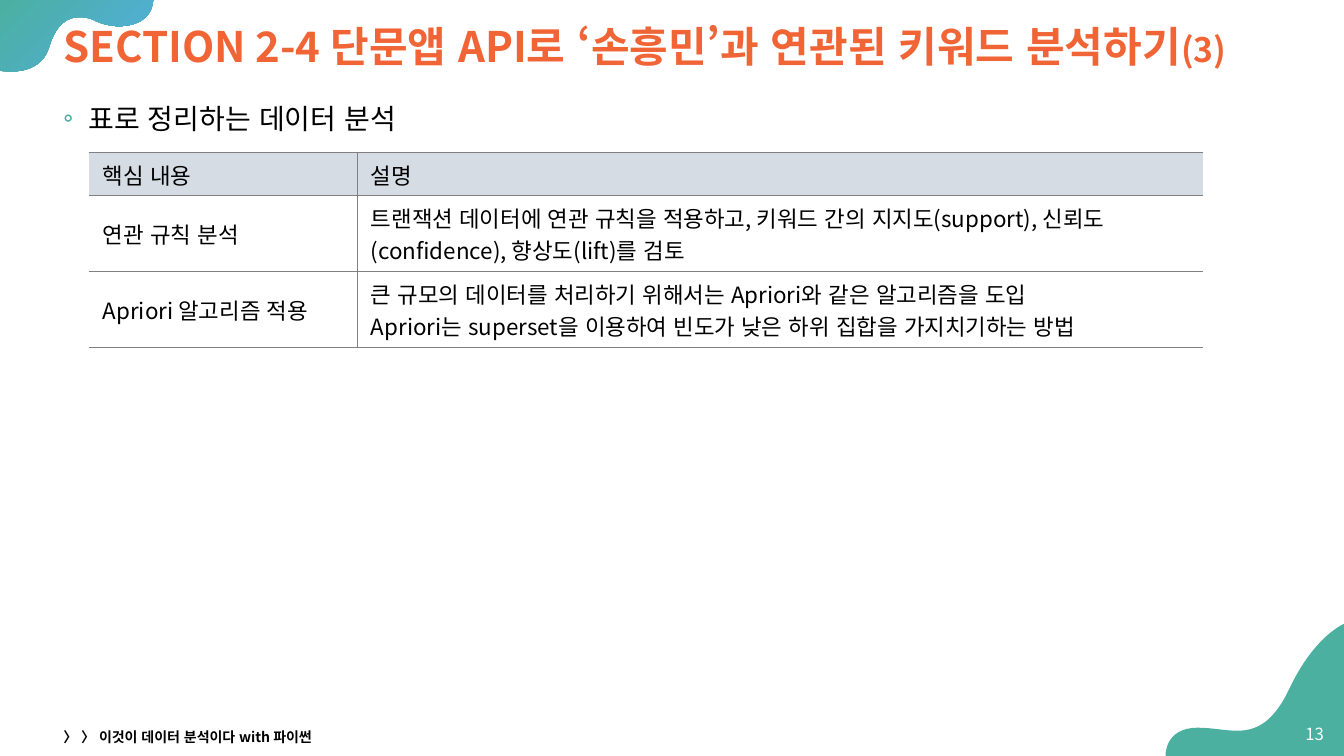
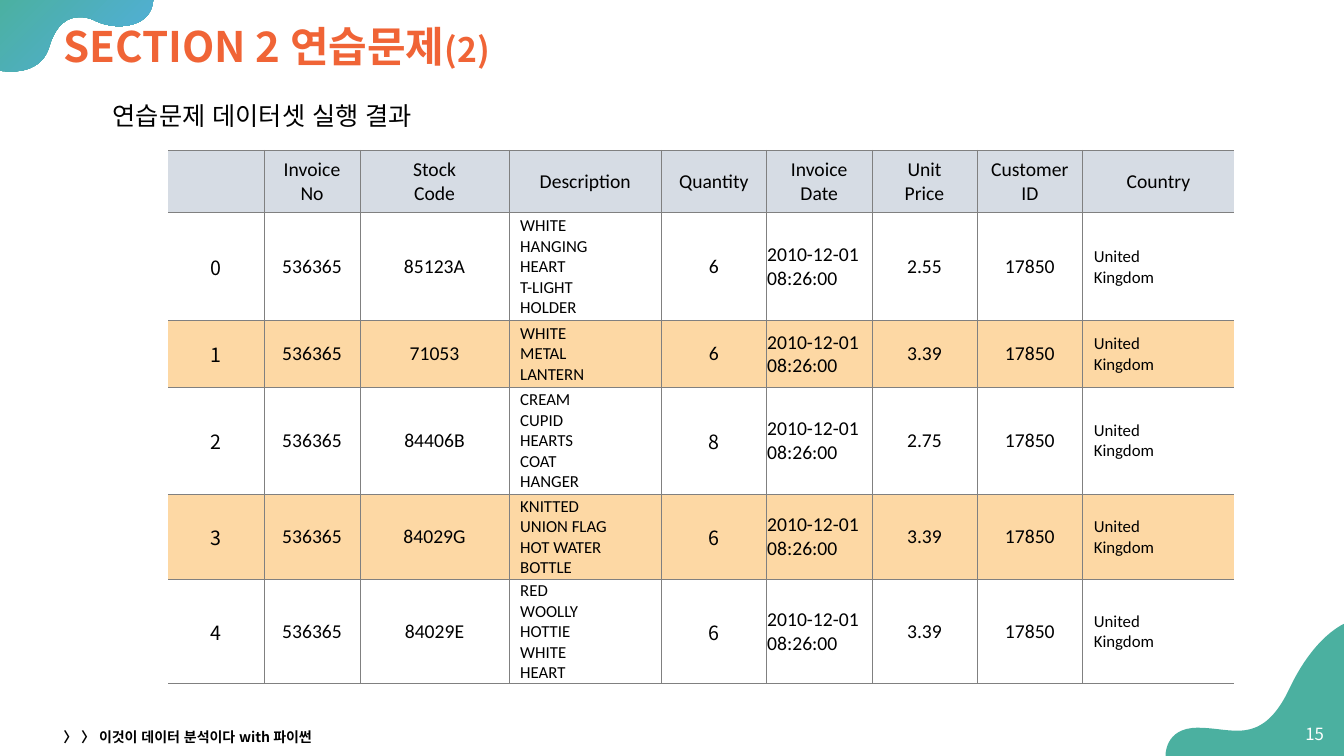
from lxml import etree
from pptx import Presentation
from pptx.dml.color import RGBColor
from pptx.enum.lang import MSO_LANGUAGE_ID
from pptx.enum.text import MSO_ANCHOR, PP_ALIGN
from pptx.oxml.ns import qn
from pptx.util import Inches, Pt

LEFT, CENTER, RIGHT = PP_ALIGN.LEFT, PP_ALIGN.CENTER, PP_ALIGN.RIGHT
TOP, MIDDLE = MSO_ANCHOR.TOP, MSO_ANCHOR.MIDDLE
LANGUAGE = MSO_LANGUAGE_ID.KOREAN
W, H = 13.33, 7.5
MARGIN = 0.53
KOREAN, LATIN = "Noto Sans CJK KR", "Calibri"
COLORS = {
    "text": "000000", "title": "F06436", "white": "FFFFFF", "teal": "4BB0A0",
    "blue": "52AEE1", "header": "D6DCE4", "stripe": "FDD8A4", "rule": "808080",
}

FOOTER = "〉 〉 이것이 데이터 분석이다 with 파이썬"
TOP_WAVE = [
    (1.52, -0.02), (-0.01, -0.02), (-0.01, 0.7),
    (-0.01, 0.7, 0.04, 0.71, 0.11, 0.71), (0.24, 0.71, 0.43, 0.67, 0.49, 0.46),
    (0.56, 0.23, 0.68, 0.17, 0.79, 0.17), (0.84, 0.17, 0.89, 0.18, 0.93, 0.2),
    (1.01, 0.24, 1.1, 0.26, 1.18, 0.26), (1.37, 0.26, 1.52, 0.17, 1.52, -0.02),
]
BOTTOM_WAVE = [
    (13.35, 6.18),
    (13.35, 6.18, 13.04, 6.29, 12.78, 6.85), (12.62, 7.18, 12.45, 7.25, 12.27, 7.25),
    (12.15, 7.25, 12.02, 7.22, 11.88, 7.22), (11.54, 7.22, 11.56, 7.51, 11.56, 7.51),
    (13.35, 7.51), (13.35, 6.18),
]

SUMMARY = [
    (["핵심 내용"], ["설명"]),
    (["연관 규칙 분석"],
     ["트랜잭션 데이터에 연관 규칙을 적용하고, 키워드 간의 지지도(support), "
      "신뢰도(confidence), 향상도(lift)를 검토"]),
    (["Apriori 알고리즘 적용"],
     ["큰 규모의 데이터를 처리하기 위해서는 Apriori와 같은 알고리즘을 도입\n"
      "Apriori는 superset을 이용하여 빈도가 낮은 하위 집합을 가지치기하는 방법"]),
]
SUMMARY_COLS, SUMMARY_ROWS = [2.66, 8.39], [0.43, 0.75, 0.76]

INVOICE_HEADER = [
    [], ["Invoice", "No"], ["Stock", "Code"], ["Description"], ["Quantity"],
    ["Invoice", "Date"], ["Unit", "Price"], ["Customer", "ID"], ["Country"],
]
ITEMS = [
    ("85123A", ["WHITE", "HANGING", "HEART", "T-LIGHT", "HOLDER"], "6", "2.55"),
    ("71053", ["WHITE", "METAL", "LANTERN"], "6", "3.39"),
    ("84406B", ["CREAM", "CUPID", "HEARTS", "COAT", "HANGER"], "8", "2.75"),
    ("84029G", ["KNITTED", "UNION FLAG", "HOT WATER", "BOTTLE"], "6", "3.39"),
    ("84029E", ["RED", "WOOLLY", "HOTTIE", "WHITE", "HEART"], "6", "3.39"),
]
INVOICE, CUSTOMER = ["536365"], ["17850"]
DATE, COUNTRY = ["2010-12-01", "08:26:00"], ["United", "Kingdom"]
INVOICE_COLS = [0.95, 0.95, 1.48, 1.51, 1.04, 1.05, 1.04, 1.05, 1.5]
INVOICE_ROWS = [0.62, 1.07, 0.66, 1.06, 0.85, 1.03]
INDEX_COL, DESCRIPTION_COL, QUANTITY_COL, DATE_COL, COUNTRY_COL = 0, 3, 4, 5, 8


def rgb(name):
    return RGBColor.from_string(COLORS[name])


def add_run(p, text, size, font, color, bold):
    r = p.add_run()
    r.text = text
    r.font.size, r.font.bold, r.font.name = Pt(size), bold, font
    r.font.language_id = LANGUAGE
    r.font.color.rgb = rgb(color)
    ea = etree.Element(qn("a:ea"), typeface=font)
    r._r.get_or_add_rPr().find(qn("a:latin")).addnext(ea)


def write(tf, paragraphs, size=16, font=KOREAN, color="text", bold=False, align=LEFT,
          spacing=None, before=None, left=0, hang=0, bullet=None):
    for i, runs in enumerate(paragraphs):
        p = tf.add_paragraph() if i else tf.paragraphs[0]
        p.alignment = align
        if spacing:
            p.line_spacing = spacing
        if before:
            p.space_before = Pt(before)
        pPr = p._p.get_or_add_pPr()
        pPr.set("marL", str(Inches(left)))
        pPr.set("indent", str(Inches(-hang)))
        if bullet:
            clr = etree.SubElement(pPr, qn("a:buClr"))
            etree.SubElement(clr, qn("a:srgbClr"), val=COLORS["teal"])
            etree.SubElement(pPr, qn("a:buFont"), typeface=LATIN)
            etree.SubElement(pPr, qn("a:buChar"), char=bullet)
        for text, run_size in [(runs, size)] if isinstance(runs, str) else runs:
            for n, line in enumerate(text.split("\n")):
                if n:
                    p.add_line_break()
                add_run(p, line, run_size, font, color, bold)


def add_text(s, box, paragraphs, anchor=MIDDLE, **fmt):
    tf = s.shapes.add_textbox(*map(Inches, box)).text_frame
    tf.word_wrap = True
    tf.vertical_anchor = anchor
    write(tf, paragraphs, **fmt)


def add_wave(s, outline, *colors):
    start, *ends = [(Inches(seg[-2]), Inches(seg[-1])) for seg in outline]
    builder = s.shapes.build_freeform(*start)
    builder.add_line_segments(ends, close=True)
    wave = builder.convert_to_shape()
    lines = list(wave._element.iter(qn("a:lnTo")))
    for line, seg in zip(lines, outline[1:]):
        if len(seg) == 6:
            curve = etree.Element(qn("a:cubicBezTo"))
            for x, y in zip(seg[::2], seg[1::2]):
                etree.SubElement(curve, qn("a:pt"), x=str(Inches(x) - wave.left),
                                 y=str(Inches(y) - wave.top))
            line.getparent().replace(line, curve)
    wave.shadow.inherit = False
    wave.line.fill.background()
    if len(colors) == 1:
        wave.fill.solid()
        wave.fill.fore_color.rgb = rgb(colors[0])
        return
    wave.fill.gradient()
    wave.fill.gradient_angle = 315
    for position, (stop, color) in enumerate(zip(wave.fill.gradient_stops, colors)):
        stop.position = position
        stop.color.rgb = rgb(color)


def add_border(cell, side, visible):
    ln = etree.SubElement(cell._tc.get_or_add_tcPr(), qn("a:ln" + side), w=str(Pt(0.5)))
    if visible:
        fill = etree.SubElement(ln, qn("a:solidFill"))
        etree.SubElement(fill, qn("a:srgbClr"), val=COLORS["rule"])
    else:
        etree.SubElement(ln, qn("a:noFill"))


def add_grid(s, left, top, widths, heights, rows, cell_format, inset=0.01, striped=False):
    frame = s.shapes.add_table(len(heights), len(widths), *map(
        Inches, (left, top, sum(widths), sum(heights))))
    table = frame.table
    table.first_row = table.horz_banding = False
    for col, width in zip(table.columns, widths):
        col.width = Inches(width)
    for i, (row, height) in enumerate(zip(rows, heights)):
        table.rows[i].height = Inches(height)
        for j, lines in enumerate(row):
            cell = table.cell(i, j)
            cell.vertical_anchor = MIDDLE
            cell.margin_left = Inches(inset)
            cell.margin_right = cell.margin_top = Inches(0.01)
            cell.margin_bottom = 0
            for side, visible in (("L", j > 0), ("R", j < len(row) - 1),
                                  ("T", True), ("B", True)):
                add_border(cell, side, visible)
            if i == 0 or striped and i % 2 == 0:
                cell.fill.solid()
                cell.fill.fore_color.rgb = rgb("stripe" if i else "header")
            else:
                cell.fill.background()
            write(cell.text_frame, lines, **cell_format(i, j))


def summary_format(i, j):
    return {"size": 16}


def invoice_format(i, j):
    if i and j in (DESCRIPTION_COL, COUNTRY_COL):
        return {"size": 12, "font": LATIN, "left": 0.1}
    korean = i and j == INDEX_COL or i > 2 and j == QUANTITY_COL
    return {"size": 14, "font": KOREAN if korean else LATIN,
            "align": LEFT if i and j == DATE_COL else CENTER}


def add_page(prs, title, part, number):
    s = prs.slides.add_slide(prs.slide_layouts[6])
    add_wave(s, TOP_WAVE, "teal", "blue")
    add_wave(s, BOTTOM_WAVE, "teal")
    add_text(s, (MARGIN, 0.12, 12.69, 0.73), [[(title, 30), (part, 24)]],
             color="title", bold=True, spacing=0.9)
    add_text(s, (12.79, 7.08, 0.44, 0.4), [number], size=12, color="white", align=RIGHT)
    add_text(s, (MARGIN, 7.19, 4.5, 0.24), [FOOTER], size=10, bold=True)
    return s


def main():
    prs = Presentation()
    prs.slide_width, prs.slide_height = Inches(W), Inches(H)

    s = add_page(prs, "SECTION 2-4 단문앱 API로 ‘손흥민’과 연관된 키워드 분석하기", "(3)", "13")
    add_text(s, (MARGIN, 0.89, 12.34, 0.98), ["표로 정리하는 데이터 분석"], anchor=TOP,
             size=20, spacing=1.2, before=10, left=0.25, hang=0.25, bullet="◦")
    add_grid(s, 0.88, 1.51, SUMMARY_COLS, SUMMARY_ROWS, SUMMARY, summary_format, inset=0.14)

    s = add_page(prs, "SECTION 2 연습문제", "(2)", "15")
    add_text(s, (MARGIN, 0.89, 12.34, 5.47), ["연습문제 데이터셋 실행 결과"], anchor=TOP,
             size=18, spacing=1.2, before=5, left=0.49)
    invoices = [INVOICE_HEADER] + [
        [[str(n)], INVOICE, [code], words, [quantity], DATE, [price], CUSTOMER, COUNTRY]
        for n, (code, words, quantity, price) in enumerate(ITEMS)]
    add_grid(s, 1.67, 1.49, INVOICE_COLS, INVOICE_ROWS, invoices, invoice_format,
             striped=True)

    prs.save("out.pptx")


if __name__ == "__main__":
    main()
